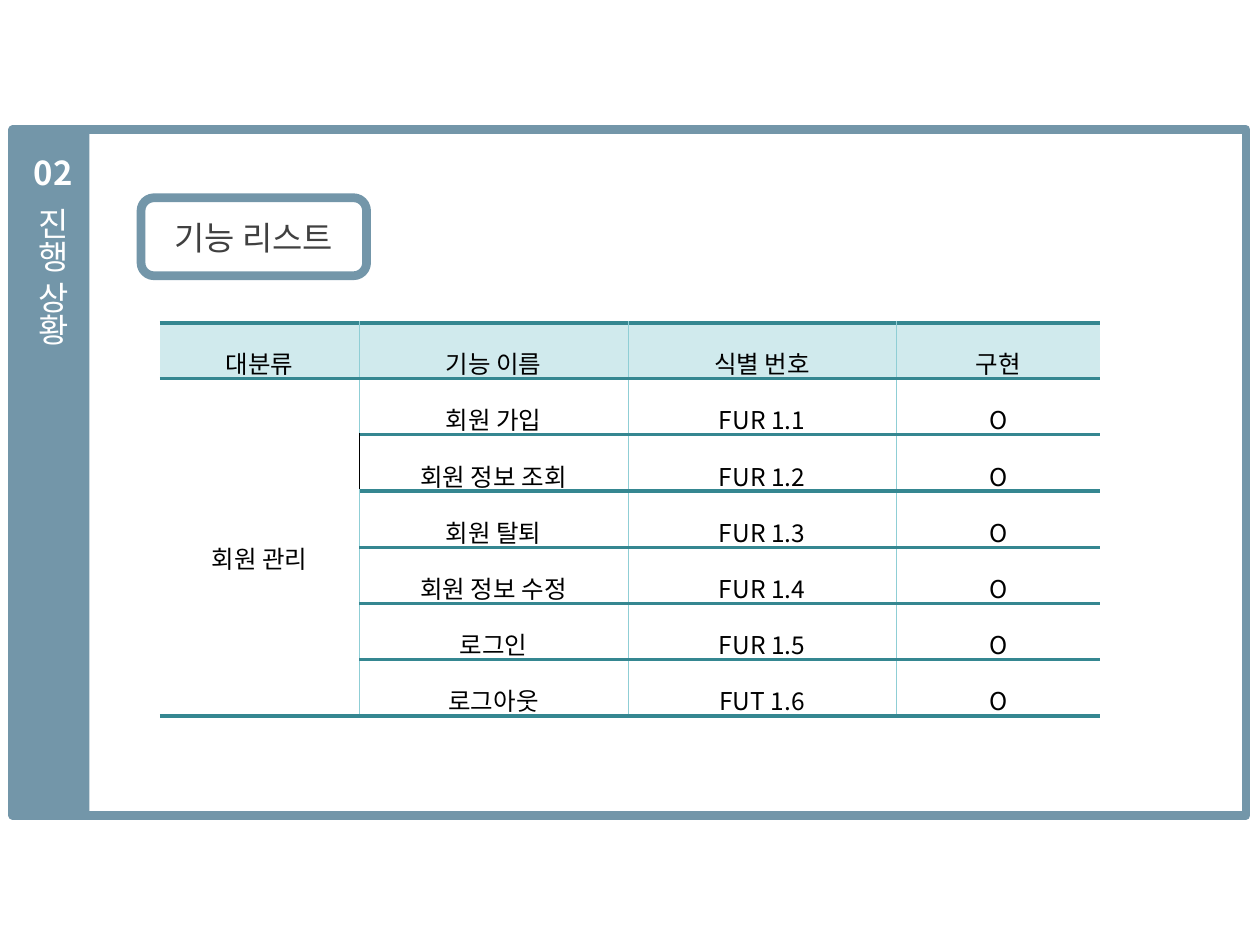
from lxml.etree import SubElement as Sub
from pptx import Presentation
from pptx.dml.color import RGBColor as RGB
from pptx.enum.shapes import MSO_SHAPE as Kind
from pptx.enum.text import MSO_ANCHOR as Anchor, MSO_AUTO_SIZE as Auto, PP_ALIGN as Align
from pptx.oxml.ns import qn
from pptx.util import Pt

NUMBER, SECTION, TITLE = "02", "진행 상황", "기능 리스트"
HEAD = ["대분류", "기능 이름", "식별 번호", "구현"]
GROUP = "회원 관리"
ITEMS = [
    ("회원 가입", "FUR 1.1", "O"),
    ("회원 정보 조회", "FUR 1.2", "O"),
    ("회원 탈퇴", "FUR 1.3", "O"),
    ("회원 정보 수정", "FUR 1.4", "O"),
    ("로그인", "FUR 1.5", "O"),
    ("로그아웃", "FUT 1.6", "O"),
]
FONT = "Noto Sans CJK KR"
COLORS = {
    "frame": "7396A9", "white": "FFFFFF", "title": "404040", "black": "000000",
    "head": "D0EAED", "rule": "358791", "grid": "8FCED5",
}
PLAIN_STYLE = "{2D5ABB26-0587-4C30-8999-92F81FD0307C}"
FRAME = (7.2, 74.2, 704.9, 391.7)
SIDE = (7.2, 74.2, 43.9, 391.7)
BADGE = (80.6, 113, 128.9, 44.6)
TABLE = (91.4, 184.3)
WIDTHS = [114, 153.4, 153.4, 116.6]
ROW = 32.1
THIN, MID, THICK = 0.28, 1.98, 2.55


def color(name):
    return RGB.from_string(COLORS[name])


def box(shapes, kind, place, fill=None, line=None):
    shape = shapes.add_shape(kind, *map(Pt, place))
    shape.shadow.inherit = False
    if fill:
        shape.fill.solid()
        shape.fill.fore_color.rgb = color(fill)
    else:
        shape.fill.background()
    if line:
        shape.line.color.rgb = color(line)
        shape.line.width = Pt(5)
    else:
        shape.line.fill.background()
    return shape


def write(frame, text, size, ink, bold=False, align=Align.LEFT):
    """Put one paragraph in a text frame, with the font for Latin and Korean."""
    frame.text = text
    para = frame.paragraphs[0]
    para.alignment = align
    font = para.font
    font.size, font.bold, font.name = Pt(size), bold, FONT
    font.color.rgb = color(ink)
    props = para._p.pPr.find(qn("a:defRPr"))
    Sub(props, qn("a:ea")).set("typeface", FONT)
    return para


def label(shapes, place, text, bold=False):
    frame = shapes.add_textbox(*map(Pt, place)).text_frame
    frame.word_wrap = False
    frame.auto_size = Auto.SHAPE_TO_FIT_TEXT
    write(frame, text, 18.8, "white", bold)
    return frame


def edges(row, col, last):
    """Give the (side, colour, width) borders of a cell."""
    top = MID if row else THICK
    low = THICK if row == last else MID
    if col == 0 and row:
        top = MID if row == 1 else None
        low = THICK if row in (1, last) else None
    left = ("black", 1) if (row, col) == (2, 1) else ("grid", THIN)
    if col:
        yield "L", *left
    if col < len(HEAD) - 1:
        yield "R", "grid", THIN
    if top:
        yield "T", "rule", top
    if low:
        yield "B", "rule", low


def border(cell, sides):
    props = cell._tc.get_or_add_tcPr()
    for spot, (side, ink, width) in enumerate(sides):
        line = Sub(props, qn(f"a:ln{side}"), w=str(int(Pt(width))))
        Sub(Sub(line, qn("a:solidFill")), qn("a:srgbClr"), val=COLORS[ink])
        props.insert(spot, line)


def grid(shapes):
    rows = [HEAD] + [(GROUP if i == 0 else "", *item) for i, item in enumerate(ITEMS)]
    last = len(rows) - 1
    size = (sum(WIDTHS), ROW * len(rows))
    table = shapes.add_table(len(rows), len(HEAD), *map(Pt, TABLE + size)).table
    table.first_row = table.horz_banding = False
    table._tbl.tblPr.find(qn("a:tableStyleId")).text = PLAIN_STYLE
    for col, width in zip(table.columns, WIDTHS):
        col.width = Pt(width)
    for r, texts in enumerate(rows):
        table.rows[r].height = Pt(ROW)
        for c, text in enumerate(texts):
            cell = table.cell(r, c)
            cell.vertical_anchor = Anchor.MIDDLE
            cell.margin_left = cell.margin_right = Pt(3.6)
            cell.margin_top = cell.margin_bottom = Pt(0.72)
            if r == 0:
                cell.fill.solid()
                cell.fill.fore_color.rgb = color("head")
            else:
                cell.fill.background()
            border(cell, edges(r, c, last))
            if text:
                write(cell.text_frame, text, 14, "black", align=Align.CENTER).line_spacing = 1.6
    table.cell(1, 0).merge(table.cell(last, 0))


def main():
    deck = Presentation()
    deck.slide_width, deck.slide_height = Pt(720), Pt(540)
    slide = deck.slides.add_slide(deck.slide_layouts[5])
    shapes = slide.shapes

    side = shapes.add_group_shape().shapes
    box(side, Kind.RECTANGLE, FRAME, line="frame")
    box(side, Kind.RECTANGLE, SIDE, fill="frame")
    label(side, (12.2, 83.5, 38.2, 30.2), NUMBER, True)
    name = label(side, (7.2, 111.6, 37.4, 95.8), SECTION)
    name._txBody.bodyPr.set("vert", "eaVert")

    grid(shapes)
    box(shapes, Kind.ROUNDED_RECTANGLE, BADGE, line="frame")

    title = shapes.title
    title.left, title.top, title.width, title.height = map(Pt, (80.6, 121, 128.9, 30.2))
    frame = title.text_frame
    frame.word_wrap = True
    frame.auto_size = Auto.SHAPE_TO_FIT_TEXT
    frame.vertical_anchor = Anchor.TOP
    write(frame, TITLE, 18.8, "title", align=Align.CENTER)
    deck.save("out.pptx")


if __name__ == "__main__":
    main()
